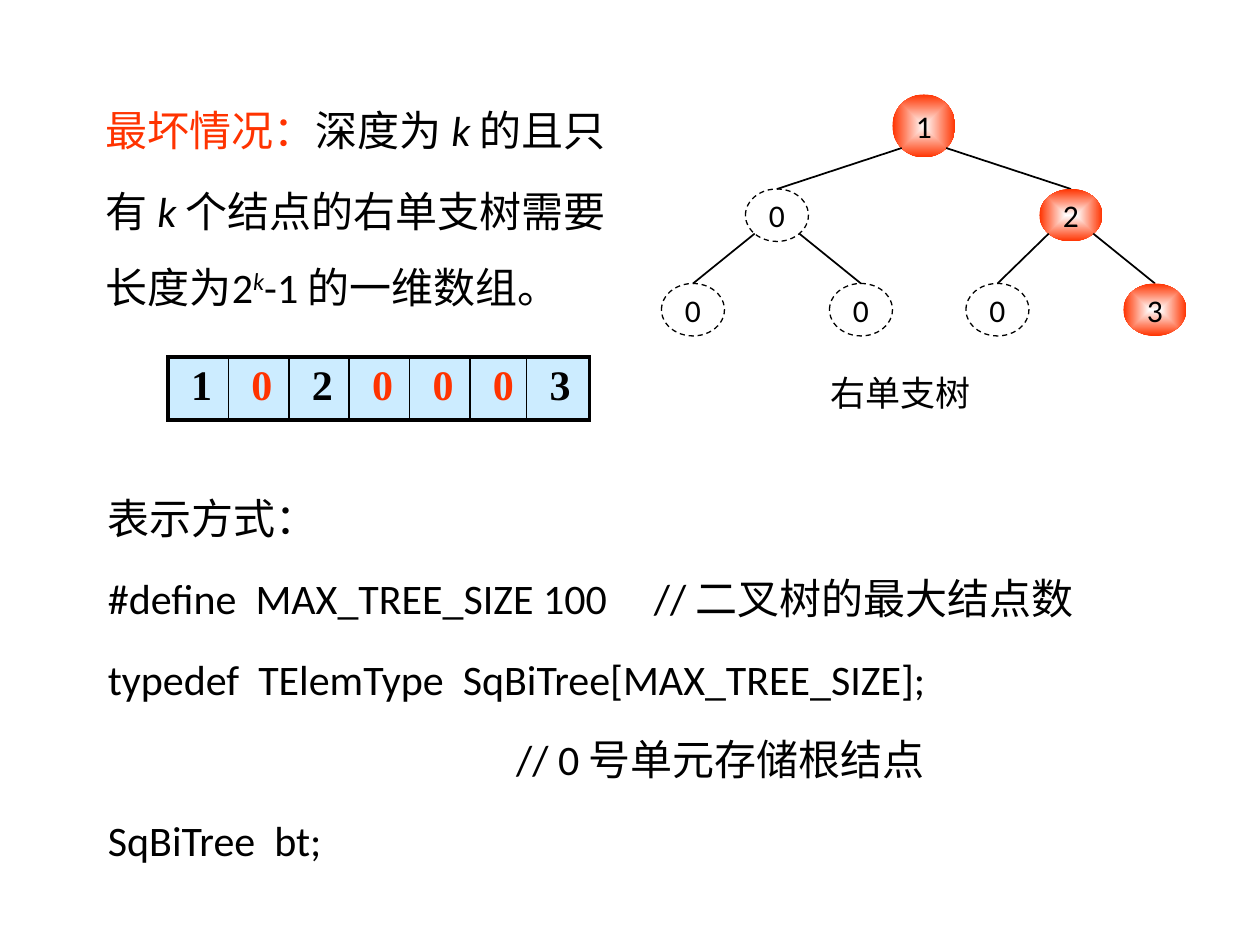
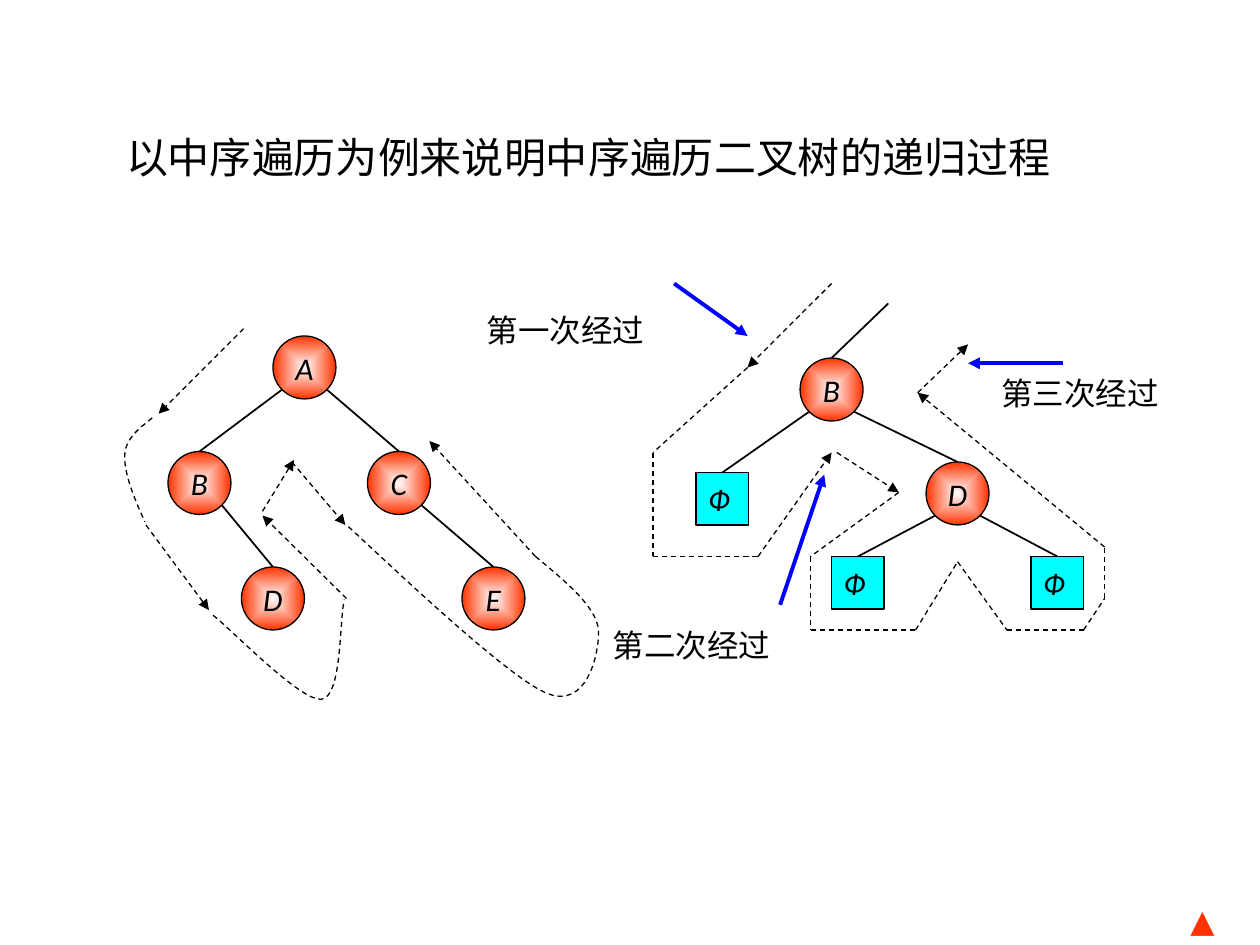
from lxml import etree
from pptx import Presentation
from pptx import util as u
from pptx.dml.color import RGBColor
from pptx.enum import dml, shapes, text
from pptx.oxml import ns

BLACK = RGBColor(0x00, 0x00, 0x00)
WHITE = RGBColor(0xFF, 0xFF, 0xFF)
RED = RGBColor(0xFF, 0x33, 0x00)
BLUE = RGBColor(0x00, 0x00, 0xFF)
CYAN = RGBColor(0x00, 0xFF, 0xFF)
PALE_BLUE = RGBColor(0xCC, 0xEC, 0xFF)
FONT = "Calibri"
SERIF = "Times New Roman"

deck = Presentation()
deck.slide_width, deck.slide_height = u.Inches(10), u.Inches(7.5)
UNIT = deck.slide_width / 120


def grid(*lengths):
    return [u.Emu(round(length * UNIT)) for length in lengths]


def draw_line(page, start, end, color=BLACK, width=1, dashed=False, arrow=False):
    line = page.shapes.add_connector(shapes.MSO_CONNECTOR.STRAIGHT, *grid(*start, *end))
    line.line.color.rgb = color
    line.line.width = u.Pt(width)
    if dashed:
        line.line.dash_style = dml.MSO_LINE.DASH
    if arrow:
        etree.SubElement(line.line._get_or_add_ln(), ns.qn("a:tailEnd"), type="triangle")
    etree.SubElement(line._element.spPr, ns.qn("a:effectLst"))


array_page = deck.slides.add_slide(deck.slide_layouts[6])
walk_page = deck.slides.add_slide(deck.slide_layouts[5])

worst_case = [
    (1.5, [("最坏情况：", "red"), ("深度为 ", ""), ("k ", "italic"), ("的且只", "")]),
    (1.6, [("有 ", ""), ("k ", "italic"), ("个结点的右单支树需要", "")]),
    (1.5, [("长度为2", ""), ("k", "italic super"), ("-1 的一维数组。", "")]),
]
box = array_page.shapes.add_textbox(*grid(8.9, 7, 54.1, 23.3))
box.text_frame.word_wrap = True
for row, (spacing, spans) in enumerate(worst_case):
    para = box.text_frame.paragraphs[0] if row == 0 else box.text_frame.add_paragraph()
    para.line_spacing = spacing
    for wording, style in spans:
        span = para.add_run()
        span.text = wording
        span.font.name, span.font.size = FONT, u.Pt(24)
        span.font.color.rgb = RED if style == "red" else BLACK
        span.font.italic = "italic" in style
        if "super" in style:
            span._r.get_or_add_rPr().set("baseline", "30000")

values = "1020003"
widths = [5.75] * 5 + [5.4, 6]
frame = array_page.shapes.add_table(1, len(values), *grid(16, 34, sum(widths), 6))
table = frame.table
table.first_row = table.horz_banding = False
for column, (value, width) in enumerate(zip(values, widths)):
    table.columns[column].width = grid(width)[0]
    cell = table.cell(0, column)
    cell.text_frame.text = value
    cell.margin_left = grid(2.2)[0]
    font = cell.text_frame.paragraphs[0].runs[0].font
    font.name, font.size, font.bold = SERIF, u.Pt(24), True
    font.color.rgb = RED if value == "0" else BLACK
    cell.fill.solid()
    cell.fill.fore_color.rgb = PALE_BLUE
    outer = {"T", "B"}
    if column == 0:
        outer.add("L")
    if column == len(values) - 1:
        outer.add("R")
    for place, side in enumerate("LRTB"):
        border = etree.Element(ns.qn(f"a:ln{side}"), w=str(u.Pt(2.25 if side in outer else 1)))
        solid = etree.SubElement(border, ns.qn("a:solidFill"))
        etree.SubElement(solid, ns.qn("a:srgbClr"), val=str(BLACK))
        cell._tc.get_or_add_tcPr().insert(place, border)

code = [
    "表示方式：",
    "#define  MAX_TREE_SIZE 100\t// 二叉树的最大结点数",
    "typedef  TElemType  SqBiTree[MAX_TREE_SIZE];",
    "                                           // 0 号单元存储根结点",
    "SqBiTree  bt;",
]
box = array_page.shapes.add_textbox(*grid(9.1, 43.4, 97.2, 39.1))
box.text_frame.text = "\n".join(code)
for para in box.text_frame.paragraphs:
    para.line_spacing = 1.6
    if "\t" in para.text:
        tabs = etree.SubElement(para._p.get_or_add_pPr(), ns.qn("a:tabLst"))
        etree.SubElement(tabs, ns.qn("a:tab"), pos=str(grid(52)[0]), algn="l")
    for span in para.runs:
        span.font.name, span.font.size = FONT, u.Pt(24)
        span.font.color.rgb = BLACK

title = walk_page.shapes.title
title.left, title.top, title.width, title.height = grid(10.8, 11.9, 97.3, 6)
title.text_frame.text = "以中序遍历为例来说明中序遍历二叉树的递归过程"
title.text_frame.vertical_anchor = text.MSO_ANCHOR.TOP
title.text_frame.word_wrap = True
title.text_frame.auto_size = text.MSO_AUTO_SIZE.NONE
para = title.text_frame.paragraphs[0]
para.alignment = text.PP_ALIGN.LEFT
para.runs[0].font.name, para.runs[0].font.size = FONT, u.Pt(24)
para.runs[0].font.color.rgb = BLACK

routes = [
    [(79.2, 27, ""), (71.2, 35, "arrow"), (62.2, 43.1, ""), (62.2, 53, ""),
     (72.2, 53, ""), (79.2, 43.1, "arrow")],
    [(79.7, 43.1, ""), (85.6, 46.9, "arrow"), (77.2, 53, ""), (77.2, 60, ""),
     (87.2, 60, ""), (91.2, 53.5, ""), (95.9, 60, ""), (103.2, 60, ""),
     (105.2, 57, ""), (105.2, 52.1, ""), (87.4, 37.4, "arrow"), (92.2, 32.8, "arrow")],
    [(23.2, 31.3, ""), (15.1, 39.4, "arrow")],
    [(13.9, 50, ""), (19.9, 58.1, "arrow")],
    [(33, 57, ""), (25, 49.1, "arrow")],
    [(25, 48.7, ""), (28, 43.8, "arrow")],
    [(27.8, 44, ""), (32.9, 50, "arrow")],
    [(51, 53, ""), (40.9, 42, "arrow")],
]
for route in routes:
    for start, end in zip(route, route[1:]):
        draw_line(walk_page, start[:2], end[:2], width=0.75, dashed=True, arrow=bool(end[2]))

curves = [
    [(20.3, 58.6), (22, 59.9), (28.6, 66.8), (30.6, 66.6), (32.6, 66.4), (32.3, 59.2), (32.8, 57.1)],
    [(14.5, 39.8), (14, 40.3), (12.1, 41.4), (11.9, 43.1), (11.7, 44.8), (12.7, 47.3), (13.8, 49.7)],
    [(51, 53), (53.9, 55.4), (56.8, 57.8), (57, 60), (57.1, 62.2), (55.9, 67.7), (52, 66),
     (48, 64.3), (36.1, 52.8), (33, 50)],
]
STEPS = 16
for curve in curves:
    points = []
    for first in range(0, len(curve) - 1, 3):
        controls = curve[first:first + 4]
        for step in range(1, STEPS + 1):
            t = step / STEPS
            weights = [(1 - t) ** 3, 3 * t * (1 - t) ** 2, 3 * t ** 2 * (1 - t), t ** 3]
            points.append(grid(*(sum(w * c[axis] for w, c in zip(weights, controls)) for axis in (0, 1))))
    outline = array_start = walk_page.shapes.build_freeform(*grid(*curve[0]))
    outline.add_line_segments(points, close=False)
    bend = outline.convert_to_shape()
    bend.shadow.inherit = False
    bend.fill.background()
    bend.line.color.rgb = BLACK
    bend.line.width = u.Pt(0.75)
    bend.line.dash_style = dml.MSO_LINE.DASH

for start, end in [((64.2, 27), (71.2, 32)), ((74.3, 57.6), (78.5, 45.2)), ((101.2, 34.6), (92.2, 34.6))]:
    draw_line(walk_page, start, end, BLUE, 2.25, arrow=True)
draw_line(walk_page, (84.6, 28.9), (79.2, 34.1))

trees = [
    (array_page, {1: ("1", 88, 9), 2: ("0", 74, 18), 3: ("2", 102, 18), 4: ("0", 66, 27),
                  5: ("0", 82, 27), 6: ("0", 95, 27), 7: ("3", 110, 27)}),
    (walk_page, {1: ("A", 29, 32), 2: ("B", 19, 43), 3: ("C", 38, 43),
                 5: ("D", 26, 54), 7: ("E", 47, 54)}),
    (walk_page, {1: ("B", 79.2, 34.1), 2: ("Ф ", 68.8, 45), 3: ("D", 91.2, 44),
                 6: ("Ф ", 81.7, 53), 7: ("Ф ", 100.7, 53)}),
]
for page, nodes in trees:
    for index, (label, center, top) in nodes.items():
        leaf = label == "Ф "
        width = 5 if leaf else 6
        height = 5 if leaf or (page is array_page and index > 1) else 6
        if index > 1:
            _, parent_center, parent_top = nodes[index // 2]
            parent_height = 5 if page is array_page and index > 3 else 6
            side = 1 if index % 2 else -1
            start = (parent_center + side * 2.12, parent_top + parent_height * 0.85)
            draw_line(page, start, (center, top))
        preset = shapes.MSO_SHAPE.RECTANGLE if leaf else shapes.MSO_SHAPE.OVAL
        node = page.shapes.add_shape(preset, *grid(center - width / 2, top, width, height))
        node.shadow.inherit = False
        node.line.color.rgb = BLACK
        node.line.width = u.Pt(0.75)
        if label == "0":
            node.fill.background()
            node.line.dash_style = dml.MSO_LINE.DASH
        elif leaf:
            node.fill.solid()
            node.fill.fore_color.rgb = CYAN
        else:
            node.fill.gradient()
            for stop, color in zip(node.fill.gradient_stops, (WHITE, RED)):
                stop.color.rgb = color
            gradient = node._element.spPr.find(ns.qn("a:gradFill"))
            gradient.remove(gradient.find(ns.qn("a:lin")))
            focus = etree.SubElement(gradient, ns.qn("a:path"), path="shape")
            etree.SubElement(focus, ns.qn("a:fillToRect"), l="50000", t="50000", r="50000", b="50000")
            if page is array_page:
                node.line.fill.background()
        node.text_frame.text = label
        node.text_frame.word_wrap = False
        node.text_frame.vertical_anchor = text.MSO_ANCHOR.MIDDLE
        para = node.text_frame.paragraphs[0]
        para.alignment = text.PP_ALIGN.CENTER
        font = para.runs[0].font
        font.name, font.size, font.italic = FONT, u.Pt(18), page is walk_page
        font.color.rgb = BLACK

captions = [
    (array_page, "右单支树", (77.9, 34.8, 16.7, 5.2), 20, BLACK, 1),
    (walk_page, "第一次经过", (45.2, 29, 26.8, 6), 18, BLACK, 1),
    (walk_page, "第二次经过", (57.2, 59, 25.4, 6), 18, BLACK, 1),
    (walk_page, "第三次经过", (94.2, 35, 24.2, 6), 18, BLACK, 1),
    (walk_page, "▲", (112.2, 86.8, 6.5, 3.6), 18, RED, 0.5),
]
for page, wording, area, size, color, spacing in captions:
    box = page.shapes.add_textbox(*grid(*area))
    box.text_frame.word_wrap = True
    box.text_frame.text = wording
    para = box.text_frame.paragraphs[0]
    para.line_spacing = spacing
    font = para.runs[0].font
    font.name, font.size = FONT, u.Pt(size)
    font.color.rgb = color

deck.save("out.pptx")
